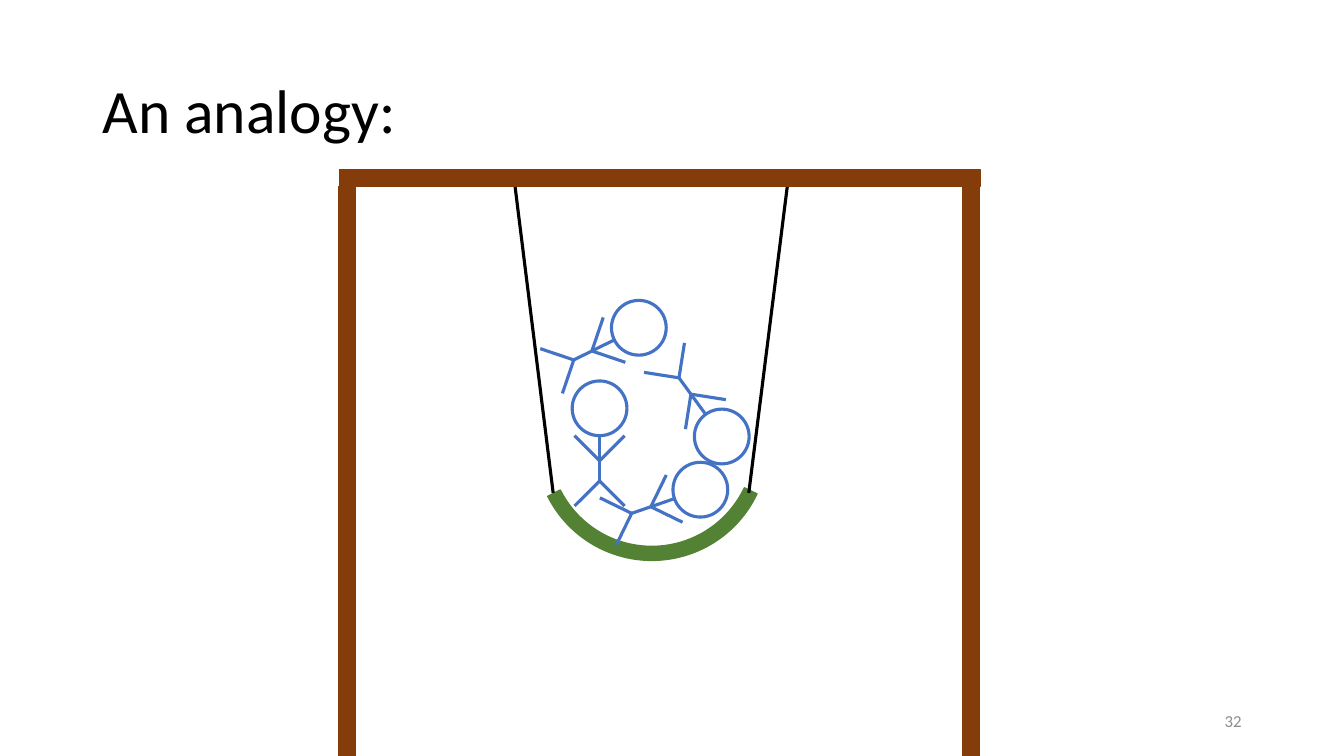
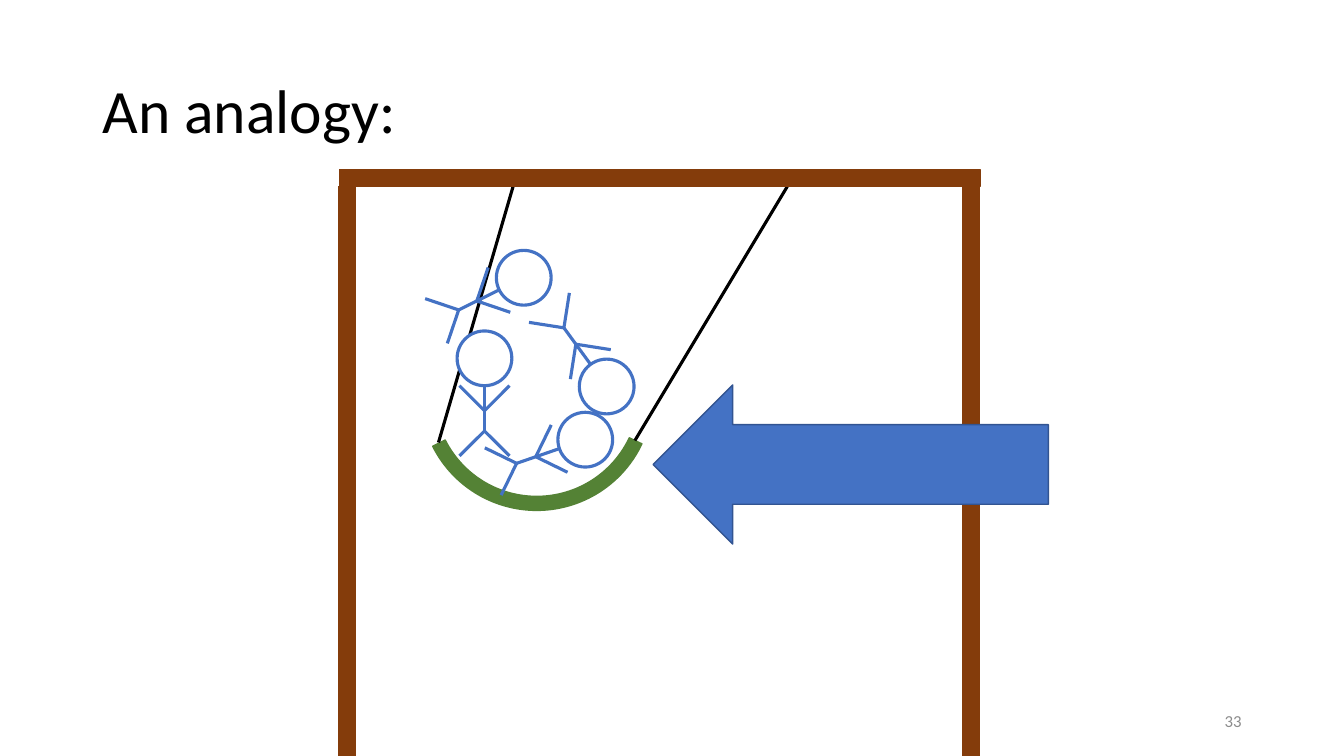
from dataclasses import dataclass
from math import cos, radians, sin
from typing import Any

from lxml.etree import SubElement
from pptx import Presentation
from pptx.dml.color import RGBColor
from pptx.enum.shapes import MSO_CONNECTOR, MSO_SHAPE
from pptx.enum.text import MSO_ANCHOR, PP_ALIGN
from pptx.oxml.ns import qn
from pptx.util import Cm, Pt

# Shared colours, text styles and sizes (lengths in centimetres)
BLACK, WHITE, GREY = "000000", "FFFFFF", "8C8C8C"
WOOD, GREEN, BLUE, NAVY = "843C0B", "548235", "4472C4", "325491"
FRAME = {"word_wrap": True, "vertical_anchor": MSO_ANCHOR.MIDDLE}
TITLE = {"name": "Calibri", "size": Pt(44)}
NUMBER = {"name": "Calibri", "size": Pt(12)}
STROKE = 2.25
TOP = 4.7
BEAM = 0.43
HEAD = 0.69

Point = tuple[float, float]


@dataclass(frozen=True)
class Box:
    left: float
    top: float
    width: float
    height: float

    def cm(self) -> list[Cm]:
        return [Cm(v) for v in (self.left, self.top, self.width, self.height)]


@dataclass(frozen=True)
class Rider:
    x: float
    y: float
    turn: float

    def place(self, point: Point) -> Point:
        """Turn a point of the upright body about the head and move it."""
        c, s = cos(radians(self.turn)), sin(radians(self.turn))
        x, y = point
        return self.x + x * c - y * s, self.y + x * s + y * c


@dataclass(frozen=True)
class Scene:
    number: int
    shift: Point
    ropes: tuple[tuple[Point, Point], ...]
    push: bool


# Upright body, measured from the centre of the head
HIP, CHEST = (0, 1.83), (0, 1.32)
LIMBS = [((0, 0.67), HIP)]
LIMBS += [(HIP, (side, 2.46)) for side in (0.63, -0.63)]
LIMBS += [(CHEST, (side, 0.69)) for side in (0.63, -0.63)]

RIDERS = [
    Rider(15.11, 10.29, 0),
    Rider(17.65, 12.34, 71),
    Rider(18.19, 11, 143.9),
    Rider(16.1, 8.26, 63.7),
]
BEAMS = [
    Box(8.53, TOP, BEAM, 14.35),
    Box(24.26, TOP, BEAM, 14.35),
    Box(8.55, TOP - BEAM, 16.15, BEAM),
]
SCENES = [
    Scene(32, (0, 0), (((13.94, 12.42), (12.98, TOP)),
                       ((18.87, 12.42), (19.84, TOP))), False),
    Scene(33, (-2.9, -1.26), (((11.05, 11.15), (12.93, TOP)),
                              ((16, 11.1), (19.84, TOP))), True),
]


def tint(code: str) -> RGBColor:
    return RGBColor.from_string(code)


def apply(target: Any, values: dict[str, Any]) -> None:
    for name, value in values.items():
        setattr(target, name, value)


def write(shape: Any, text: str, style: dict[str, Any], color: str,
          para: dict[str, Any]) -> None:
    frame = shape.text_frame
    frame.text = text
    apply(frame, FRAME)
    first = frame.paragraphs[0]
    apply(first, para)
    font = first.runs[0].font
    apply(font, style)
    font.color.rgb = tint(color)


def draw(shapes: Any, kind: MSO_SHAPE, box: Box, fill: str, edge: str,
         width: float = 1) -> Any:
    shape = shapes.add_shape(kind, *box.cm())
    shape.shadow.inherit = False
    shape.fill.solid()
    shape.fill.fore_color.rgb = tint(fill)
    shape.line.color.rgb = tint(edge)
    shape.line.width = Pt(width)
    return shape


def link(shapes: Any, start: Point, end: Point, color: str) -> None:
    line = shapes.add_connector(
        MSO_CONNECTOR.STRAIGHT, *[Cm(v) for v in (*start, *end)])
    line.line.color.rgb = tint(color)
    line.line.width = Pt(STROKE)
    SubElement(line._element.spPr, qn("a:effectLst"))


def figure(shapes: Any, rider: Rider) -> None:
    group = shapes.add_group_shape().shapes
    head = Box(rider.x - HEAD, rider.y - HEAD, 2 * HEAD, 2 * HEAD)
    draw(group, MSO_SHAPE.OVAL, head, WHITE, BLUE, STROKE)
    for start, end in LIMBS:
        link(group, rider.place(start), rider.place(end), BLUE)


def build(deck: Any, scene: Scene) -> None:
    shapes = deck.slides.add_slide(deck.slide_layouts[5]).shapes
    dx, dy = scene.shift

    # Title and slide number
    title = shapes.title
    names = ("left", "top", "width", "height")
    apply(title, dict(zip(names, Box(2.33, 1.01, 29.21, 3.68).cm())))
    write(title, "An analogy:", TITLE, BLACK,
          {"alignment": PP_ALIGN.LEFT, "line_spacing": 0.9})
    note = shapes.add_textbox(*Box(23.92, 17.66, 7.62, 1.01).cm())
    write(note, str(scene.number), NUMBER, GREY,
          {"alignment": PP_ALIGN.RIGHT})

    # Swing seat and ropes
    seat = draw(shapes, MSO_SHAPE.BLOCK_ARC,
                Box(13.49 + dx, 8.25 + dy, 5.87, 5.87), GREEN, GREEN)
    seat.rotation = 180
    for index, value in enumerate((123.23, 199.96, 0.06)):
        seat.adjustments[index] = value
    for start, end in scene.ropes:
        link(shapes, start, end, BLACK)

    # Wooden frame
    for beam in BEAMS:
        draw(shapes, MSO_SHAPE.RECTANGLE, beam, WOOD, WOOD)

    # Riders, and the push from the right
    for rider in RIDERS:
        figure(shapes, Rider(rider.x + dx, rider.y + dy, rider.turn))
    if scene.push:
        draw(shapes, MSO_SHAPE.LEFT_ARROW, Box(16.46, 9.7, 9.96, 4.01),
             BLUE, NAVY)


def main() -> None:
    deck = Presentation()
    deck.slide_width, deck.slide_height = Cm(33.87), Cm(19.05)
    for scene in SCENES:
        build(deck, scene)
    deck.save("out.pptx")


if __name__ == "__main__":
    main()
